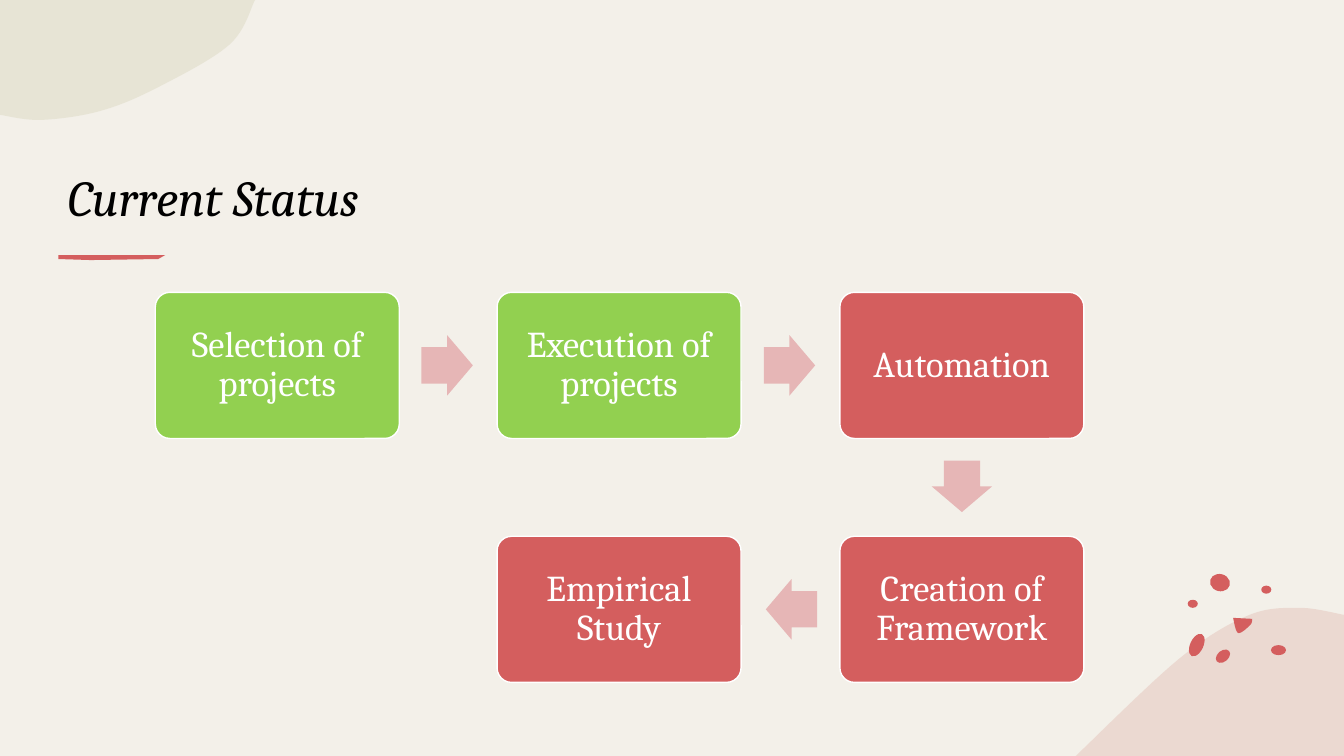
import math
from typing import NamedTuple

from lxml import etree
from pptx import Presentation
from pptx.dml.color import RGBColor
from pptx.enum.shapes import MSO_SHAPE
from pptx.enum.text import MSO_ANCHOR, MSO_AUTO_SIZE, PP_ALIGN
from pptx.oxml.ns import qn
from pptx.util import Emu, Pt

ROUNDED, ARROW, OVAL = MSO_SHAPE.ROUNDED_RECTANGLE, MSO_SHAPE.RIGHT_ARROW, MSO_SHAPE.OVAL
LEFT, CENTER = PP_ALIGN.LEFT, PP_ALIGN.CENTER
MIDDLE, BOTTOM = MSO_ANCHOR.MIDDLE, MSO_ANCHOR.BOTTOM
NO_AUTOFIT = MSO_AUTO_SIZE.NONE

PX = 9144  # EMU per px, 100 px to the inch
SLIDE_W, SLIDE_H = 1333, 750
FONT = "Cambria"
CREAM, SAND, BLUSH = "F3F0E9", "DCD9C3", "E5C4BA"
RED, GREEN, PINK, WHITE, BLACK = "D45E5E", "92D050", "E6B6B6", "FFFFFF", "000000"

# Step grid
GRID_LEFT, GRID_TOP, ROW_PITCH = 154, 290, 242
TWO_COLUMNS = 679
BOX_W, BOX_H, BOX_INSET = 242, 145, 15
ARROW_LENGTH, ARROW_W = 51, 60


class Step(NamedTuple):
    text: str
    col: int
    row: int
    color: str

    @property
    def left(self) -> int:
        return GRID_LEFT + self.col * TWO_COLUMNS // 2

    @property
    def top(self) -> int:
        return GRID_TOP + self.row * ROW_PITCH


class Outline(NamedTuple):
    """A smooth curve through some points, closed over straight corners."""
    color: str
    curve: list
    corners: list
    opacity: int = 100


class Pebble(NamedTuple):
    x: int
    y: int
    w: int
    h: int
    tilt: int = 0


STEPS = [
    Step("Selection of projects", 0, 0, GREEN),
    Step("Execution of projects", 1, 0, GREEN),
    Step("Automation", 2, 0, RED),
    Step("Creation of Framework", 2, 1, RED),
    Step("Empirical Study", 1, 1, RED),
]

HILL = Outline(BLUSH, [(1067, SLIDE_H), (1169, 654), (1237, 611), (1288, 603), (SLIDE_W, 610)],
               [(SLIDE_W, SLIDE_H)], 50)
CLOUD = Outline(SAND, [(253, 0), (228, 44), (158, 86), (100, 110), (41, 119), (0, 114)],
                [(0, 0)], 50)
WEDGE = Outline(RED, [(1242, 614), (1240, 620), (1228, 628), (1223, 613)], [])
BRUSH = Outline(RED, [], [(58, 253), (164, 253), (157, 257), (90, 258), (58, 257)])

# Centre, size and tilt
PEBBLES = [
    Pebble(1213, 651, 16, 11, -40),
    Pebble(1187, 640, 13, 24, 25),
    Pebble(1268, 645, 15, 10),
    Pebble(1210, 578, 20, 17, 15),
    Pebble(1256, 585, 10, 8),
    Pebble(1183, 599, 10, 8),
]


def px(value: float) -> Emu:
    return Emu(round(value * PX))


def rgb(color: str) -> RGBColor:
    return RGBColor.from_string(color)


def paint(sp, color: str, opacity: int = 100) -> None:
    sp.shadow.inherit = False
    sp.line.fill.background()
    sp.fill.solid()
    sp.fill.fore_color.rgb = rgb(color)
    if opacity < 100:
        clr = next(sp._element.spPr.iter(qn("a:srgbClr")))
        etree.SubElement(clr, qn("a:alpha")).set("val", str(opacity * 1000))


def set_text(tf, text: str, size: int, color: str, align, anchor) -> None:
    tf.text = text
    tf.word_wrap = True
    tf.auto_size = NO_AUTOFIT
    tf.vertical_anchor = anchor
    p = tf.paragraphs[0]
    p.alignment = align
    p.line_spacing = 0.9
    font = p.runs[0].font
    font.name, font.size, font.color.rgb = FONT, Pt(size), rgb(color)


def smooth(points: list, count: int = 12) -> list:
    """Catmull-Rom curve through the points."""
    padded = points[:1] + points + points[-1:]
    result = points[:1]
    for a, b, c, d in zip(padded, padded[1:], padded[2:], padded[3:]):
        for i in range(1, count + 1):
            t = i / count
            result.append(tuple(
                q + t / 2 * (r - p + t * (2 * p - 5 * q + 4 * r - s
                                          + t * (3 * q - p - 3 * r + s)))
                for p, q, r, s in zip(a, b, c, d)))
    return result


def draw_outline(slide, outline: Outline) -> None:
    points = [(px(x), px(y)) for x, y in smooth(outline.curve) + outline.corners]
    builder = slide.shapes.build_freeform(*points[0])
    builder.add_line_segments(points[1:], close=True)
    paint(builder.convert_to_shape(), outline.color, outline.opacity)


def add_centred(slide, kind, x: float, y: float, w: int, h: int, angle: float, color: str):
    sp = slide.shapes.add_shape(kind, px(x - w / 2), px(y - h / 2), px(w), px(h))
    sp.rotation = angle
    paint(sp, color)
    return sp


def draw_step(slide, step: Step) -> None:
    sp = slide.shapes.add_shape(ROUNDED, px(step.left), px(step.top), px(BOX_W), px(BOX_H))
    sp.adjustments[0] = 0.1
    paint(sp, step.color)
    sp.line.color.rgb = rgb(WHITE)
    sp.line.width = Pt(1)
    tf = sp.text_frame
    tf.margin_left = tf.margin_right = tf.margin_top = tf.margin_bottom = px(BOX_INSET)
    set_text(tf, step.text, 26, WHITE, CENTER, MIDDLE)


def draw_arrow(slide, a: Step, b: Step) -> None:
    """Put an arrow in the gap between two steps, one px nearer to the first."""
    angle = math.atan2(b.top - a.top, b.left - a.left)
    x = (a.left + b.left + BOX_W) / 2 - math.cos(angle)
    y = (a.top + b.top + BOX_H) / 2 - math.sin(angle)
    sp = add_centred(slide, ARROW, x, y, ARROW_LENGTH, ARROW_W, math.degrees(angle), PINK)
    sp.adjustments[0], sp.adjustments[1] = 0.6, 0.5


def main() -> None:
    prs = Presentation()
    prs.slide_width, prs.slide_height = px(SLIDE_W), px(SLIDE_H)
    slide = prs.slides.add_slide(prs.slide_layouts[5])
    slide.background.fill.solid()
    slide.background.fill.fore_color.rgb = rgb(CREAM)

    # Decoration
    for outline in (HILL, CLOUD, WEDGE, BRUSH):
        draw_outline(slide, outline)
    for pebble in PEBBLES:
        add_centred(slide, OVAL, *pebble, RED)

    # Title
    title = slide.shapes.title
    title.left, title.top, title.width, title.height = px(57), px(86), px(1102), px(145)
    set_text(title.text_frame, "Current Status", 36, BLACK, LEFT, BOTTOM)
    title.text_frame.paragraphs[0].runs[0].font.italic = True

    # Process
    for step in STEPS:
        draw_step(slide, step)
    for a, b in zip(STEPS, STEPS[1:]):
        draw_arrow(slide, a, b)

    prs.save("out.pptx")


if __name__ == "__main__":
    main()
